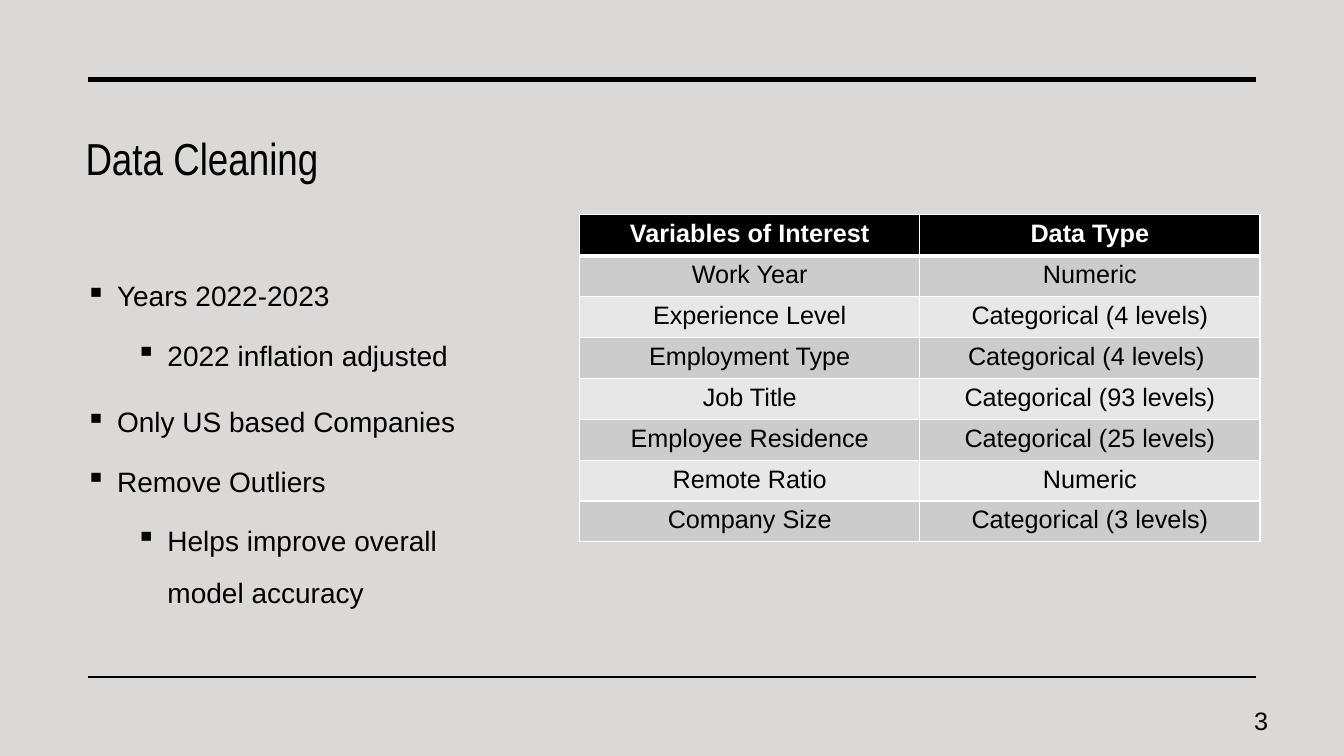
from dataclasses import dataclass

from lxml import etree
from pptx import Presentation
from pptx.dml.color import RGBColor
from pptx.enum.shapes import MSO_CONNECTOR
from pptx.enum.text import MSO_ANCHOR, PP_ALIGN
from pptx.oxml.ns import qn
from pptx.util import Pt

STRAIGHT = MSO_CONNECTOR.STRAIGHT
TOP, MIDDLE, BOTTOM = MSO_ANCHOR.TOP, MSO_ANCHOR.MIDDLE, MSO_ANCHOR.BOTTOM
LEFT, CENTER, RIGHT = PP_ALIGN.LEFT, PP_ALIGN.CENTER, PP_ALIGN.RIGHT


@dataclass(frozen=True)
class Theme:
    """Colours, fonts and type sizes of the slide."""
    background: str = "DBD8D8"
    ink: str = "000000"
    paper: str = "FFFFFF"
    bands: tuple = ("CCCCCC", "E7E7E7")
    heading_font: str = "Arial Narrow"
    body_font: str = "Arial"
    title_size: int = 32
    body_size: int = 20
    small_size: int = 18


THEME = Theme()

BULLETS = [
    ("Years 2022-2023", 0, 0, 10),
    ("2022 inflation adjusted", 1, 1, 5),
    ("Only US based Companies", 0, 0, 10),
    ("Remove Outliers", 1, 0, 5),
    ("Helps improve overall model accuracy", 2, 1, 5),
]

VARIABLES = [
    ("Variables of Interest", "Data Type"),
    ("Work Year", "Numeric"),
    ("Experience Level", "Categorical (4 levels)"),
    ("Employment Type", "Categorical (4 levels) "),
    ("Job Title", "Categorical (93 levels)"),
    ("Employee Residence", "Categorical (25 levels)"),
    ("Remote Ratio", "Numeric"),
    ("Company Size", "Categorical (3 levels)"),
]


def rgb(color):
    """Turn a hex string into a colour."""
    return RGBColor.from_string(color)


def style(p, size, font=THEME.body_font, color=THEME.ink, bold=False, align=LEFT):
    """Set the type and alignment of a paragraph."""
    p.font.name, p.font.size, p.font.bold = font, Pt(size), bold
    p.font.color.rgb = rgb(color)
    p.alignment = align


def add_box(s, box, anchor=TOP):
    """Add a wrapping text box and return its text frame."""
    tf = s.shapes.add_textbox(*map(Pt, box)).text_frame
    tf.word_wrap = True
    tf.vertical_anchor = anchor
    return tf


def add_rule(s, x, y, width, weight):
    """Draw a horizontal rule without shadow."""
    line = s.shapes.add_connector(STRAIGHT, Pt(x), Pt(y), Pt(x + width), Pt(y))
    line.line.color.rgb = rgb(THEME.ink)
    line.line.width = Pt(weight)
    etree.SubElement(line._element.spPr, qn("a:effectLst"))


def add_frame(s, box):
    """Draw the heavy top rule and thin bottom rule of the box."""
    x, y, width, height = box
    add_rule(s, x, y, width, 3.5)
    add_rule(s, x, y + height, width, 1)


def add_title(s, box, text):
    """Write the slide title."""
    p = add_box(s, box, BOTTOM).paragraphs[0]
    p.text = text
    style(p, THEME.title_size, THEME.heading_font)


def add_page_number(s, box, number):
    """Write the page number."""
    p = add_box(s, box, MIDDLE).paragraphs[0]
    p.text = str(number)
    style(p, THEME.small_size, align=RIGHT)


def add_bullets(s, box, items):
    """Write the bulleted list, each item at its level and indent step."""
    tf = add_box(s, box)
    for i, (text, level, step, before) in enumerate(items):
        p = tf.add_paragraph() if i else tf.paragraphs[0]
        p.text, p.level = text, level
        p.line_spacing, p.space_before = 1.56, Pt(before)
        style(p, THEME.body_size)
        pPr = p._p.get_or_add_pPr()
        pPr.set("marL", str(Pt(22.5 + 36 * step)))
        pPr.set("indent", str(Pt(-22.5)))
        bullet = etree.Element(qn("a:buChar"), char="▪")
        pPr.find(qn("a:defRPr")).addprevious(bullet)


def add_border(cell, side, weight):
    """Add a white border to one side of a cell."""
    tcPr = cell._tc.get_or_add_tcPr()
    ln = etree.SubElement(tcPr, qn(f"a:ln{side}"), w=str(Pt(weight)))
    fill = etree.SubElement(ln, qn("a:solidFill"))
    etree.SubElement(fill, qn("a:srgbClr"), val=THEME.paper)


def add_variables(s, box, rows):
    """Add the table of variables with a black header and grey bands."""
    frame = s.shapes.add_table(len(rows), len(rows[0]), *map(Pt, box))
    for i, row in enumerate(rows):
        header = i == 0
        for j, text in enumerate(row):
            cell = frame.table.cell(i, j)
            for side in "LRTB":
                thick = (header and side == "B") or (i == 1 and side == "T")
                add_border(cell, side, 3 if thick else 1)
            cell.fill.solid()
            cell.fill.fore_color.rgb = rgb(THEME.ink if header else THEME.bands[(i - 1) % 2])
            p = cell.text_frame.paragraphs[0]
            p.text = text
            style(p, THEME.small_size, color=THEME.paper if header else THEME.ink,
                  bold=header, align=CENTER)


def main():
    """Build and save the slide."""
    prs = Presentation()
    prs.slide_width, prs.slide_height = Pt(960), Pt(540)
    s = prs.slides.add_slide(prs.slide_layouts[6])
    s.background.fill.solid()
    s.background.fill.fore_color.rgb = rgb(THEME.background)
    add_frame(s, (63, 56.7, 834, 426.9))
    add_title(s, (54, 61.2, 322.6, 74.2), "Data Cleaning")
    add_page_number(s, (859.7, 500.4, 53.3, 28.8), 3)
    add_bullets(s, (54, 182.2, 322.6, 280), BULLETS)
    add_variables(s, (414, 153.5, 486, 233.6), VARIABLES)
    prs.save("out.pptx")


if __name__ == "__main__":
    main()
